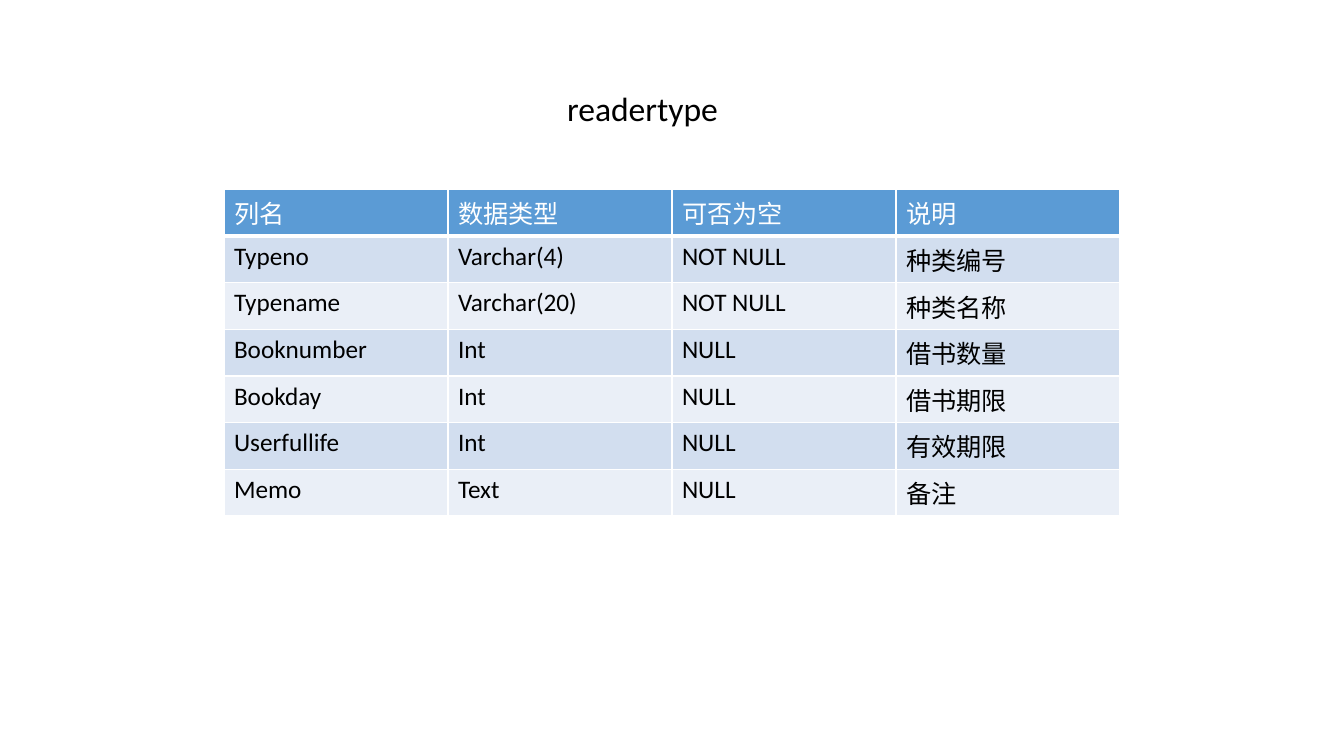
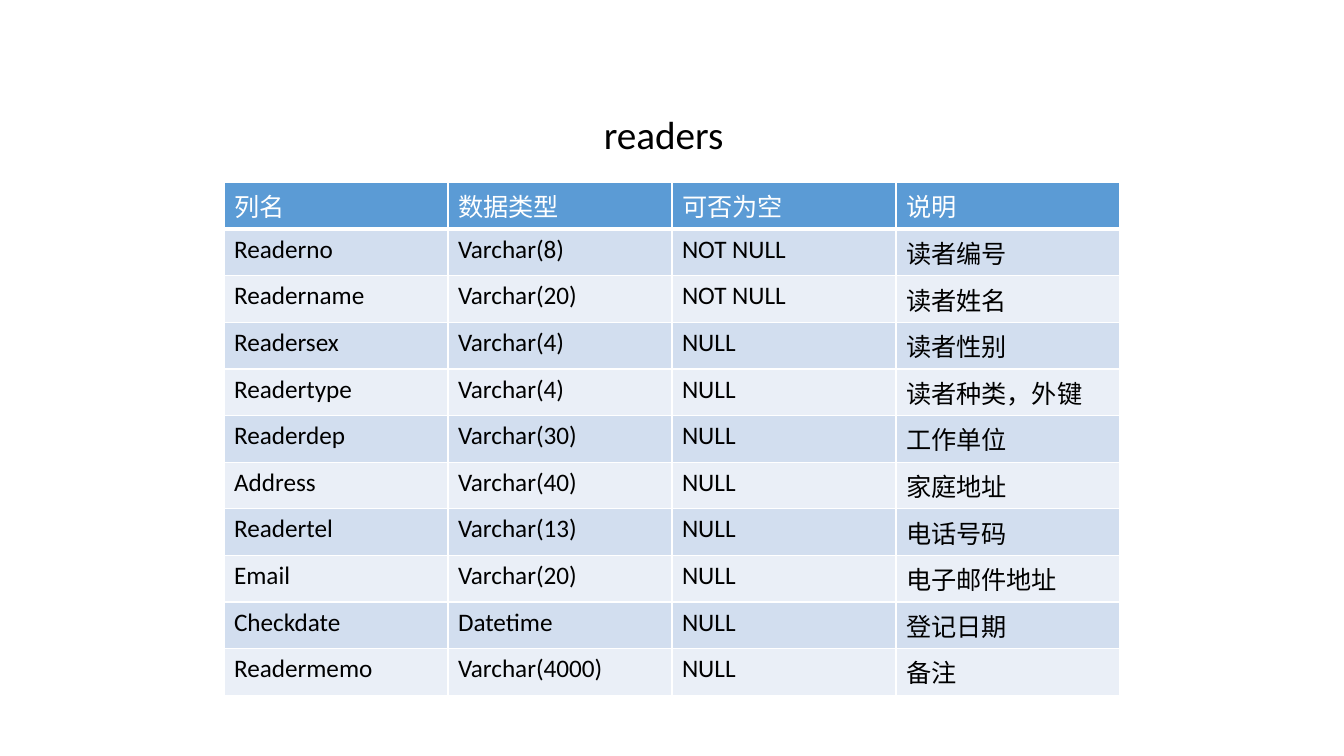
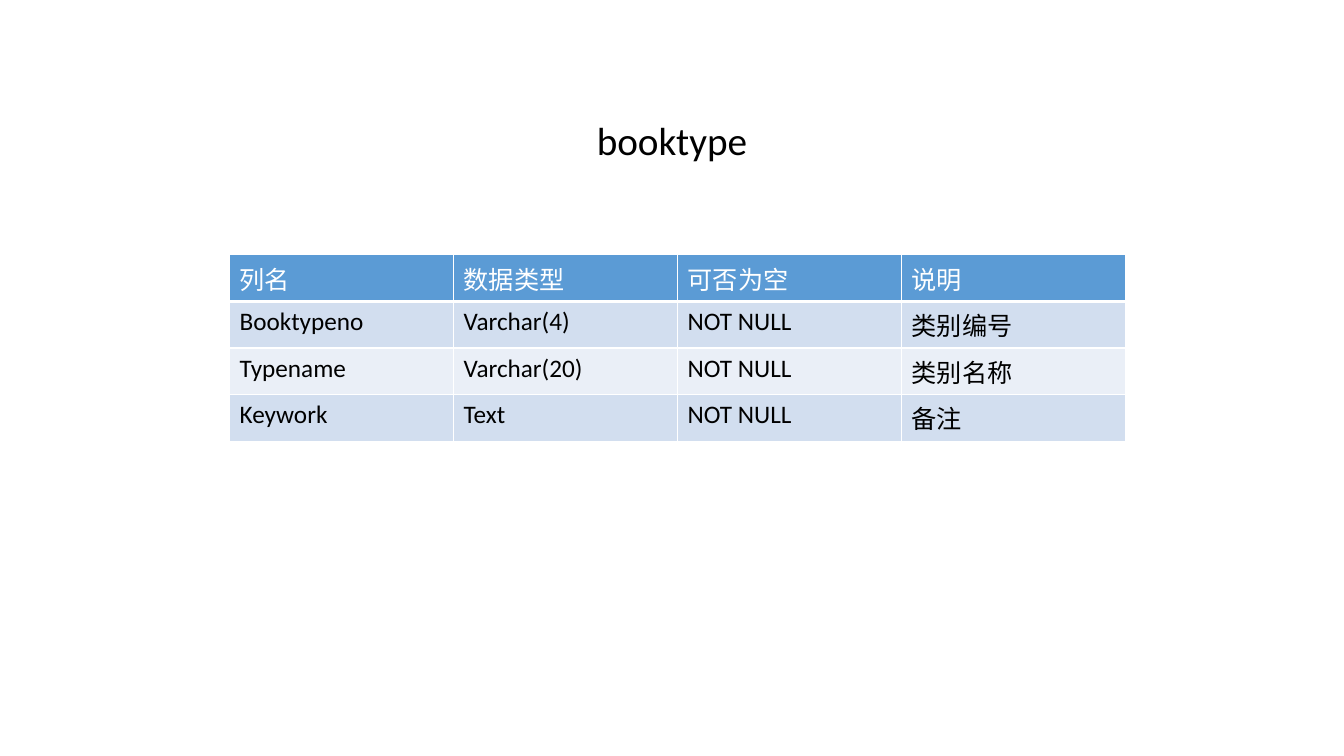
from dataclasses import dataclass

from lxml.etree import SubElement
from pptx import Presentation
from pptx.dml.color import RGBColor
from pptx.enum.text import MSO_ANCHOR, MSO_AUTO_SIZE, PP_ALIGN
from pptx.oxml.ns import qn
from pptx.util import Pt


@dataclass(frozen=True)
class Theme:
    font: str = "Calibri"
    text: str = "000000"
    white: str = "FFFFFF"
    header: str = "5B9BD5"
    bands: tuple = ("D2DEEF", "EAEFF7")
    cell_size: int = 18
    border: int = 1
    header_rule: int = 3


THEME = Theme()
SLIDE_SIZE = (960, 540)
TITLE_ONLY = 5
COLUMN_WIDTH, ROW_HEIGHT = 160, 29.2
HEADER = ("列名", "数据类型", "可否为空", "说明")

# Title boxes are (left, top, width, height); tables are placed by (left, top).
SLIDES = [
    {
        "title": "readertype", "size": 24, "spacing": 1.0,
        "title_box": (294.5, 59, 329, 36), "table_at": (160, 135.5),
        "rows": [
            ("Typeno", "Varchar(4)", "NOT NULL", "种类编号"),
            ("Typename", "Varchar(20)", "NOT NULL", "种类名称"),
            ("Booknumber", "Int", "NULL", "借书数量"),
            ("Bookday", "Int", "NULL", "借书期限"),
            ("Userfullife", "Int", "NULL", "有效期限"),
            ("Memo", "Text", "NULL", "备注"),
        ],
    },
    {
        "title": "readers", "size": 28, "spacing": 0.9,
        "title_box": (150, 78, 648, 39), "table_at": (160, 130.5),
        "rows": [
            ("Readerno", "Varchar(8)", "NOT NULL", "读者编号"),
            ("Readername", "Varchar(20)", "NOT NULL", "读者姓名"),
            ("Readersex", "Varchar(4)", "NULL", "读者性别"),
            ("Readertype", "Varchar(4)", "NULL", "读者种类，外键"),
            ("Readerdep", "Varchar(30)", "NULL", "工作单位"),
            ("Address", "Varchar(40)", "NULL", "家庭地址"),
            ("Readertel", "Varchar(13)", "NULL", "电话号码"),
            ("Email", "Varchar(20)", "NULL", "电子邮件地址"),
            ("Checkdate", "Datetime", "NULL", "登记日期"),
            ("Readermemo", "Varchar(4000)", "NULL", "备注"),
        ],
    },
    {
        "title": "booktype", "size": 28, "spacing": 0.9,
        "title_box": (156, 74, 648, 55.5), "table_at": (164, 182),
        "rows": [
            ("Booktypeno", "Varchar(4)", "NOT NULL", "类别编号"),
            ("Typename", "Varchar(20)", "NOT NULL", "类别名称"),
            ("Keywork", "Text", "NOT NULL", "备注"),
        ],
    },
]


def add_run(p, text, size, color):
    r = p.add_run()
    r.text = text
    r.font.name = THEME.font
    r.font.size = Pt(size)
    r.font.bold = False
    r.font.color.rgb = RGBColor.from_string(color)


def set_title(s, content):
    sp = s.shapes.title
    sp.left, sp.top, sp.width, sp.height = map(Pt, content["title_box"])
    tf = sp.text_frame
    tf.word_wrap = True
    tf.auto_size = MSO_AUTO_SIZE.NONE
    tf.vertical_anchor = MSO_ANCHOR.MIDDLE
    p = tf.paragraphs[0]
    p.alignment = PP_ALIGN.CENTER
    p.line_spacing = content["spacing"]
    add_run(p, content["title"], content["size"], THEME.text)


def set_borders(cell, bottom):
    """Draw white cell borders; must run before the cell gets its fill."""
    tc_pr = cell._tc.get_or_add_tcPr()
    widths = {"lnL": THEME.border, "lnR": THEME.border,
              "lnT": THEME.border, "lnB": bottom}
    for tag, width in widths.items():
        ln = SubElement(tc_pr, qn(f"a:{tag}"), w=str(Pt(width)))
        fill = SubElement(ln, qn("a:solidFill"))
        SubElement(fill, qn("a:srgbClr"), val=THEME.white)


def add_column_table(s, content):
    rows = [HEADER, *content["rows"]]
    left, top = content["table_at"]
    table = s.shapes.add_table(
        len(rows), len(HEADER), Pt(left), Pt(top),
        Pt(COLUMN_WIDTH * len(HEADER)), Pt(ROW_HEIGHT * len(rows))).table
    for column in table.columns:
        column.width = Pt(COLUMN_WIDTH)
    for i, texts in enumerate(rows):
        table.rows[i].height = Pt(ROW_HEIGHT)
        if i == 0:
            fill, color, bottom = THEME.header, THEME.white, THEME.header_rule
        else:
            fill, color, bottom = THEME.bands[(i - 1) % 2], THEME.text, THEME.border
        for j, text in enumerate(texts):
            cell = table.cell(i, j)
            set_borders(cell, bottom)
            cell.fill.solid()
            cell.fill.fore_color.rgb = RGBColor.from_string(fill)
            add_run(cell.text_frame.paragraphs[0], text, THEME.cell_size, color)


def main():
    prs = Presentation()
    prs.slide_width, prs.slide_height = map(Pt, SLIDE_SIZE)
    for content in SLIDES:
        s = prs.slides.add_slide(prs.slide_layouts[TITLE_ONLY])
        set_title(s, content)
        add_column_table(s, content)
    prs.save("out.pptx")


if __name__ == "__main__":
    main()
